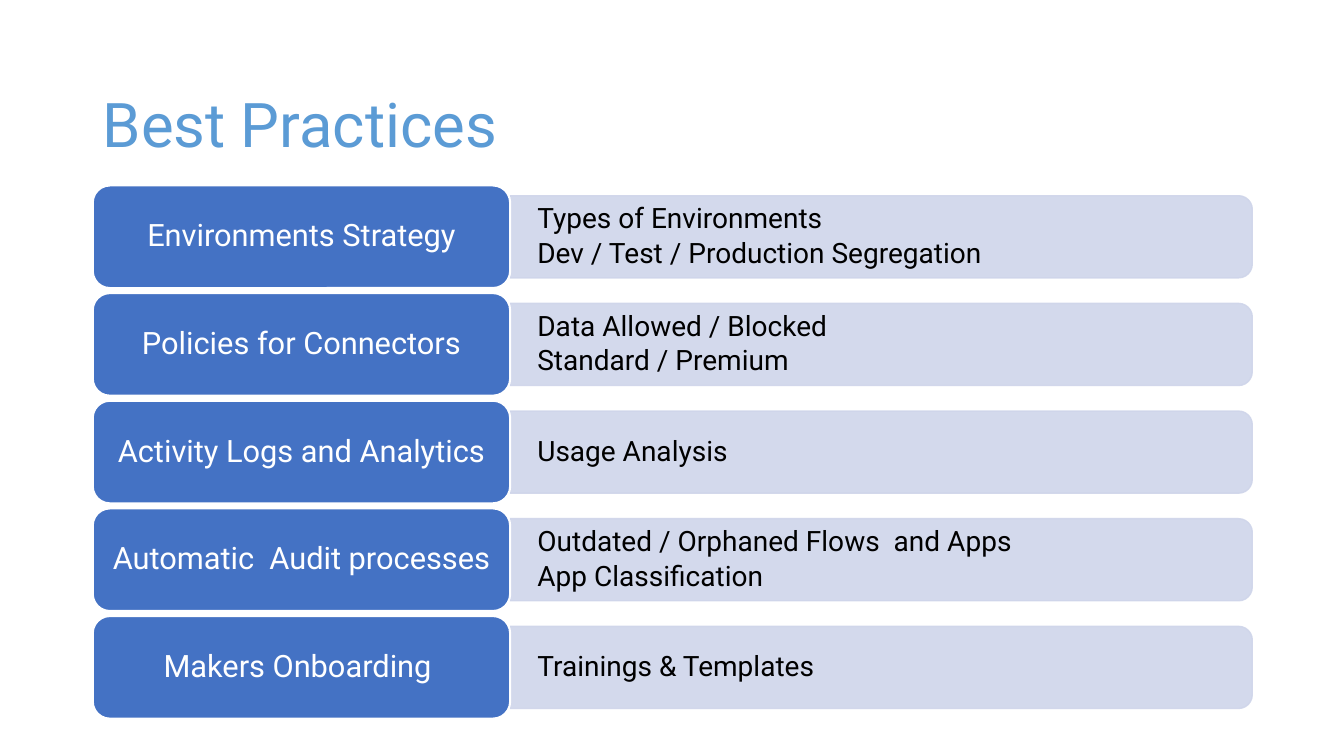
from lxml import etree
from pptx import Presentation
from pptx.dml.color import RGBColor
from pptx.enum.shapes import MSO_SHAPE
from pptx.enum.text import MSO_ANCHOR, PP_ALIGN
from pptx.oxml.ns import qn
from pptx.util import Inches, Pt

ROUNDED = MSO_SHAPE.ROUNDED_RECTANGLE
ROUNDED_TOP = MSO_SHAPE.ROUND_2_SAME_RECTANGLE
MIDDLE = MSO_ANCHOR.MIDDLE
LEFT, CENTER = PP_ALIGN.LEFT, PP_ALIGN.CENTER

FONT = "Roboto"
SLIDE_WIDTH, SLIDE_HEIGHT = 13.33, 7.5
MARGIN = 0.92
CONTENT_WIDTH = 11.5
ROWS_TOP, ROWS_HEIGHT, ROW_GAP = 1.84, 5.29, 0.05
LABEL_SHARE = 0.36
BAR_SHARE = 0.8

PRACTICES = [
    ("Environments Strategy",
     ["Types of Environments", "Dev / Test / Production Segregation"]),
    ("Policies for Connectors",
     ["Data Allowed / Blocked", "Standard / Premium"]),
    ("Activity Logs and Analytics", ["Usage Analysis"]),
    ("Automatic  Audit processes",
     ["Outdated / Orphaned Flows  and Apps", "App Classification"]),
    ("Makers Onboarding ", ["Trainings & Templates"]),
]


def color(value):
    """Return the colour for a hex string."""
    return RGBColor.from_string(value)


def set_opacity(fill_parent, percent):
    """Make the solid fill directly inside an element partly transparent."""
    value = fill_parent.find(qn("a:solidFill"))[0]
    etree.SubElement(value, qn("a:alpha"), val=str(percent * 1000))


def write_text(shape, lines, size, text_color, alignment, insets, space_after=0):
    """Write one paragraph per line, centred vertically in the shape."""
    frame = shape.text_frame
    frame.word_wrap = True
    frame.vertical_anchor = MIDDLE
    frame.margin_left = frame.margin_right = Inches(insets[0])
    frame.margin_top = frame.margin_bottom = Inches(insets[1])
    for index, line in enumerate(lines):
        paragraph = frame.add_paragraph() if index else frame.paragraphs[0]
        paragraph.alignment = alignment
        paragraph.line_spacing = 0.9
        paragraph.space_after = Pt(space_after)
        run = paragraph.add_run()
        run.text = line
        run.font.name = FONT
        run.font.size = Pt(size)
        run.font.color.rgb = color(text_color)


def add_text_box(slide, box, *text_options):
    """Add a text box filling the given box."""
    shape = slide.shapes.add_textbox(*map(Inches, box))
    write_text(shape, *text_options)


def add_block(slide, kind, box, fill, line, line_width):
    """Add a filled and outlined shape without shadow."""
    shape = slide.shapes.add_shape(kind, *map(Inches, box))
    shape.shadow.inherit = False
    shape.fill.solid()
    shape.fill.fore_color.rgb = color(fill)
    shape.line.color.rgb = color(line)
    shape.line.width = Pt(line_width)
    return shape


def add_detail_bar(slide, box, details):
    """Add a pale bar rounded on its right end, with its detail lines."""
    left, top, width, height = box
    upright = (left + (width - height) / 2, top + (height - width) / 2, height, width)
    bar = add_block(slide, ROUNDED_TOP, upright, "CFD5EA", "CFD5EA", 1)
    bar.rotation = 90
    properties = bar.element.spPr
    set_opacity(properties, 90)
    set_opacity(properties.find(qn("a:ln")), 90)
    add_text_box(slide, box, details, 20, "000000", LEFT, (0.27, 0.14), 3)


def add_practice(slide, box, label, details):
    """Add one row: a blue label on the left and its detail bar."""
    left, top, width, height = box
    label_width = width * LABEL_SHARE
    bar_height = height * BAR_SHARE
    bar_top = top + (height - bar_height) / 2
    add_detail_bar(
        slide, (left + label_width, bar_top, width - label_width, bar_height), details)
    block = add_block(
        slide, ROUNDED, (left, top, label_width, height), "4472C4", "FFFFFF", 1.5)
    write_text(block, [label], 22, "FFFFFF", CENTER, (0.09, 0.05))


def add_practices(slide, box):
    """Stack the practices as equal rows in the given box."""
    left, top, width, height = box
    count = len(PRACTICES)
    row_height = (height - ROW_GAP * (count - 1)) / count
    for index, (label, details) in enumerate(PRACTICES):
        row_top = top + index * (row_height + ROW_GAP)
        add_practice(slide, (left, row_top, width, row_height), label, details)


def main():
    """Build and save the slide."""
    presentation = Presentation()
    presentation.slide_width = Inches(SLIDE_WIDTH)
    presentation.slide_height = Inches(SLIDE_HEIGHT)
    slide = presentation.slides.add_slide(presentation.slide_layouts[6])
    add_text_box(slide, (MARGIN, 0.85, CONTENT_WIDTH, 0.83),
                 ["Best Practices"], 44, "5B9BD5", LEFT, (0.1, 0.05))
    add_practices(slide, (MARGIN, ROWS_TOP, CONTENT_WIDTH, ROWS_HEIGHT))
    presentation.save("out.pptx")


if __name__ == "__main__":
    main()
